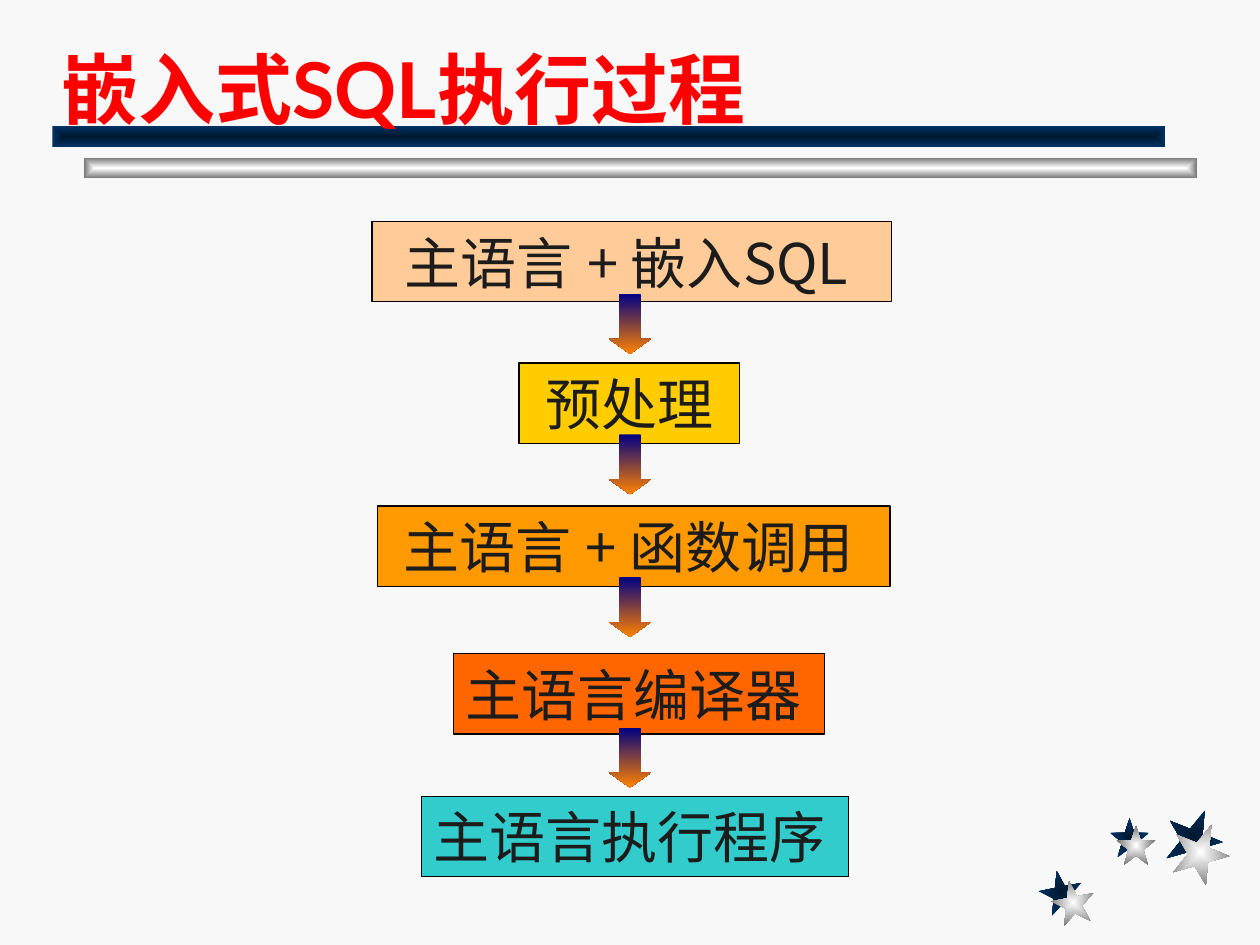
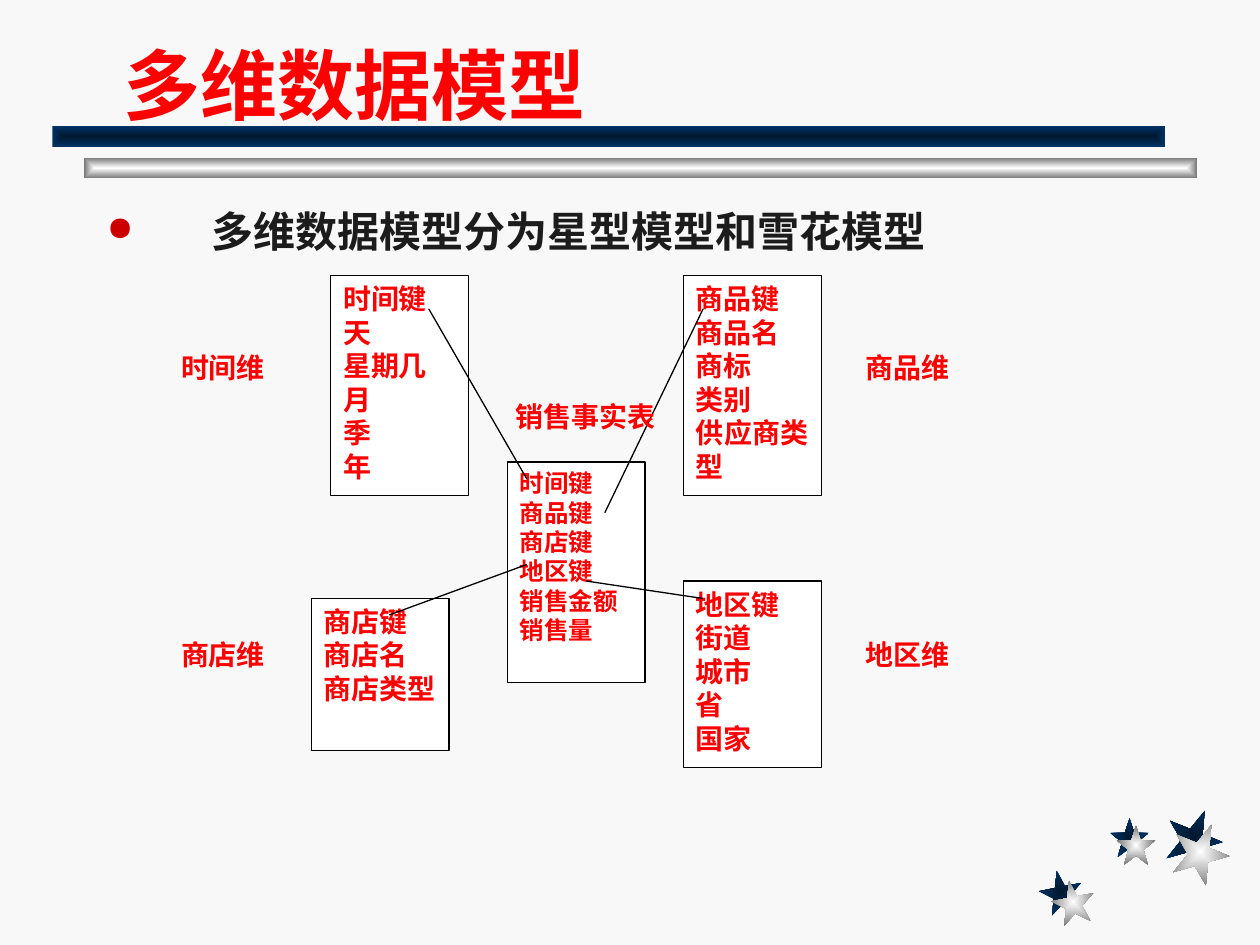
from dataclasses import dataclass
from math import cos, pi, sin
from typing import NamedTuple

from lxml.etree import SubElement
from pptx import Presentation
from pptx.dml.color import RGBColor
from pptx.enum.shapes import MSO_CONNECTOR, MSO_SHAPE
from pptx.enum.text import MSO_ANCHOR, PP_ALIGN
from pptx.oxml.ns import qn
from pptx.shapes.autoshape import Shape
from pptx.slide import Slide
from pptx.text.text import TextFrame
from pptx.util import Pt


# Theme
@dataclass(frozen=True)
class Theme:
    background: str = "F8F8F8"
    red: str = "FF0000"
    ink: str = "1C1C1C"
    outline: str = "000000"
    white: str = "FFFFFF"
    bullet: str = "CC0000"
    navy: tuple[str, str] = ("00182F", "003366")
    silver: tuple[str, str] = ("FFFFFF", "767676")
    arrow: tuple[str, str] = ("000082", "FF8200")
    east_asian: str = "Lato"
    title_size: float = 44
    step_size: float = 32
    lead_size: float = 24
    key_size: float = 16
    fact_size: float = 14
    line_width: float = 0.75


THEME = Theme()


class Box(NamedTuple):
    left: float
    top: float
    width: float
    height: float


class TextStyle(NamedTuple):
    font: str
    size: float
    color: str
    bold: bool = True
    align: PP_ALIGN = PP_ALIGN.LEFT


class Star(NamedTuple):
    box: Box
    tilt: float
    colors: tuple[str, str]


class Step(NamedTuple):
    text: str
    box: Box
    color: str
    right_inset: float = 13


class KeyTable(NamedTuple):
    box: Box
    rows: tuple[str, ...]
    size: float = THEME.key_size


class Label(NamedTuple):
    text: str
    box: Box


class Link(NamedTuple):
    start: tuple[float, float]
    end: tuple[float, float]


TITLE = TextStyle("Lato", THEME.title_size, THEME.red)
STEP = TextStyle("Noto Sans CJK JP", THEME.step_size, THEME.ink, False, PP_ALIGN.CENTER)
LEAD = TextStyle("Noto Sans CJK SC", THEME.lead_size, THEME.ink, True, PP_ALIGN.JUSTIFY)
LABEL = TextStyle("Arial", THEME.key_size, THEME.red, True, PP_ALIGN.CENTER)

# Shared decoration
STARS = (
    Star(Box(594, 497.5, 24.5, 24.5), -11, THEME.navy),
    Star(Box(634.3, 467.3, 22.3, 22.7), 0, THEME.navy),
    Star(Box(666, 462.2, 32.4, 33.1), 22, THEME.navy),
    Star(Box(601, 503.3, 24.5, 24.5), -11, THEME.silver),
    Star(Box(638, 471.6, 22.3, 22.7), 0, THEME.silver),
    Star(Box(669.8, 470.2, 32.4, 33.1), 22, THEME.silver),
)
BANDS = (
    (Box(48, 90, 636, 12), THEME.silver),
    (Box(30, 72, 636, 12), THEME.navy),
)

# Embedded SQL steps
STEPS = (
    Step("主语言 + 嵌入SQL", Box(212.6, 126.5, 296.8, 46), "FFCC99"),
    Step("预处理", Box(296.6, 207.4, 126, 46), "FFCC00", 7.2),
    Step("主语言 + 函数调用", Box(215.7, 289.2, 293, 46), "FF9900"),
    Step("主语言编译器", Box(259, 373.5, 212, 46), "FF6600"),
    Step("主语言执行程序", Box(241, 455, 244, 46), "33CCCC"),
)
ARROW_TOPS = (168, 248.3, 329.8, 415.8)

# Star schema
KEY_TABLES = (
    KeyTable(Box(189, 157.3, 78.7, 126), ("时间键", "天", "星期几", "月", "季", "年")),
    KeyTable(Box(290, 264, 78.7, 126),
             ("时间键", "商品键", "商店键", "地区键", "销售金额", "销售量"), THEME.fact_size),
    KeyTable(Box(178, 341.8, 78.7, 87), ("商店键", "商店名", "商店类型")),
    KeyTable(Box(390.6, 332, 78.7, 106.7), ("地区键", "街道", "城市", "省", "国家")),
    KeyTable(Box(390.6, 157.3, 78.7, 126), ("商品键", "商品名", "商标", "类别", "供应商类型")),
)
LINKS = (
    Link((245, 176.5), (301, 273.6)),
    Link((222.5, 351.4), (301, 322.6)),
    Link((334.8, 332), (401.8, 342)),
    Link((401.8, 176.5), (345.6, 293)),
)
LABELS = (
    Label("商店维", Box(87.8, 360.7, 79.2, 26.6)),
    Label("时间维", Box(87.8, 196.6, 79.2, 26.6)),
    Label("销售事实表", Box(286.5, 224.6, 96.5, 26.6)),
    Label("地区维", Box(478.8, 360.7, 79.2, 26.6)),
    Label("商品维", Box(478.8, 196.6, 79.2, 26.6)),
)


def points(box: Box) -> tuple[Pt, ...]:
    return tuple(Pt(length) for length in box)


def fill_gradient(shape: Shape, colors: tuple[str, str], from_center: bool) -> None:
    shape.fill.gradient()
    for stop, color in zip(shape.fill.gradient_stops, colors):
        stop.color.rgb = RGBColor.from_string(color)
    shape.fill.gradient_angle = 270
    if from_center:
        gradient = shape._element.spPr.find(qn("a:gradFill"))
        gradient.remove(gradient.find(qn("a:lin")))
        rings = SubElement(gradient, qn("a:path"), {"path": "rect"})
        SubElement(rings, qn("a:fillToRect"), dict.fromkeys("ltrb", "50000"))
    shape.line.fill.background()
    shape.shadow.inherit = False


def write(frame: TextFrame, lines: tuple[str, ...], style: TextStyle) -> None:
    for index, line in enumerate(lines):
        paragraph = frame.add_paragraph() if index else frame.paragraphs[0]
        paragraph.text = line
        paragraph.alignment = style.align
        font = paragraph.font
        font.name, font.size, font.bold = style.font, Pt(style.size), style.bold
        font.color.rgb = RGBColor.from_string(style.color)
        defaults = paragraph._p.pPr.find(qn("a:defRPr"))
        SubElement(defaults, qn("a:ea"), {"typeface": THEME.east_asian})


def add_text(slide: Slide, text: str, box: Box, style: TextStyle) -> TextFrame:
    frame = slide.shapes.add_textbox(*points(box)).text_frame
    frame.word_wrap = True
    write(frame, (text,), style)
    return frame


def add_box(slide: Slide, box: Box, color: str) -> Shape:
    shape = slide.shapes.add_shape(MSO_SHAPE.RECTANGLE, *points(box))
    shape.fill.solid()
    shape.fill.fore_color.rgb = RGBColor.from_string(color)
    shape.line.color.rgb = RGBColor.from_string(THEME.outline)
    shape.line.width = Pt(THEME.line_width)
    shape.shadow.inherit = False
    return shape


def add_star(slide: Slide, star: Star) -> None:
    left, top, width, height = star.box
    corners = []
    for index in range(10):
        angle = index * pi / 5
        radius = 0.382 if index % 2 else 1
        across = 0.5 + radius * sin(angle) / (2 * sin(2 * pi / 5))
        down = (1 - radius * cos(angle)) / (1 + cos(pi / 5))
        corners.append((Pt(left + across * width), Pt(top + down * height)))
    builder = slide.shapes.build_freeform(*corners[0])
    builder.add_line_segments(corners[1:], close=True)
    shape = builder.convert_to_shape()
    shape.rotation = star.tilt
    fill_gradient(shape, star.colors, from_center=True)


def add_arrow(slide: Slide, top: float) -> None:
    arrow = slide.shapes.add_shape(MSO_SHAPE.DOWN_ARROW, *points(Box(348, top, 24, 34.3)))
    arrow.adjustments[1] = 0.357
    fill_gradient(arrow, THEME.arrow, from_center=False)


def add_step(slide: Slide, step: Step) -> None:
    frame = add_box(slide, step.box, step.color).text_frame
    frame.word_wrap = False
    frame.vertical_anchor = MSO_ANCHOR.MIDDLE
    frame.margin_right = Pt(step.right_inset)
    write(frame, (step.text,), STEP)


def add_key_table(slide: Slide, table: KeyTable) -> None:
    frame = add_box(slide, table.box, THEME.white).text_frame
    frame.word_wrap = True
    frame.vertical_anchor = MSO_ANCHOR.TOP
    style = TextStyle("Times New Roman", table.size, THEME.red, align=PP_ALIGN.JUSTIFY)
    write(frame, table.rows, style)


def add_link(slide: Slide, link: Link) -> None:
    ends = (Pt(value) for value in link.start + link.end)
    line = slide.shapes.add_connector(MSO_CONNECTOR.STRAIGHT, *ends)
    line.line.color.rgb = RGBColor.from_string(THEME.outline)
    line.line.width = Pt(THEME.line_width)
    SubElement(line._element.spPr, qn("a:effectLst"))


def add_lead(slide: Slide, text: str) -> None:
    paragraph = add_text(slide, text, Box(54, 108, 612, 43.2), LEAD).paragraphs[0]
    paragraph.line_spacing = 1.2
    paragraph.space_before = Pt(6)
    properties = paragraph._p.pPr
    properties.set("marL", str(Pt(60)))
    properties.set("indent", str(Pt(-60)))
    defaults = properties.find(qn("a:defRPr"))
    color = SubElement(properties, qn("a:buClr"))
    SubElement(color, qn("a:srgbClr"), {"val": THEME.bullet})
    SubElement(properties, qn("a:buSzPct"), {"val": "80000"})
    SubElement(properties, qn("a:buChar"), {"char": "●"})
    properties.append(defaults)


def add_slide(deck: Presentation, title: str, box: Box, left_inset: float = 7.2) -> Slide:
    slide = deck.slides.add_slide(deck.slide_layouts[6])
    slide.background.fill.solid()
    slide.background.fill.fore_color.rgb = RGBColor.from_string(THEME.background)
    for star in STARS:
        add_star(slide, star)
    for band, colors in BANDS:
        bar = slide.shapes.add_shape(MSO_SHAPE.RECTANGLE, *points(band))
        fill_gradient(bar, colors, from_center=True)
    frame = add_text(slide, title, box, TITLE)
    frame.vertical_anchor = MSO_ANCHOR.BOTTOM
    frame.margin_left = Pt(left_inset)
    return slide


def main() -> None:
    deck = Presentation()
    deck.slide_width, deck.slide_height = Pt(720), Pt(540)

    # Execution of embedded SQL
    execution = add_slide(deck, "嵌入式SQL执行过程", Box(28, 13, 668, 67))
    for step in STEPS:
        add_step(execution, step)
    for top in ARROW_TOPS:
        add_arrow(execution, top)

    # Multidimensional data model
    model = add_slide(deck, "多维数据模型", Box(54, 12, 612, 66), left_inset=16.5)
    add_lead(model, "多维数据模型分为星型模型和雪花模型")
    for table in KEY_TABLES:
        add_key_table(model, table)
    for link in LINKS:
        add_link(model, link)
    for label in LABELS:
        frame = add_text(model, label.text, label.box, LABEL)
        frame.paragraphs[0].space_before = Pt(10)

    deck.save("out.pptx")


if __name__ == "__main__":
    main()
